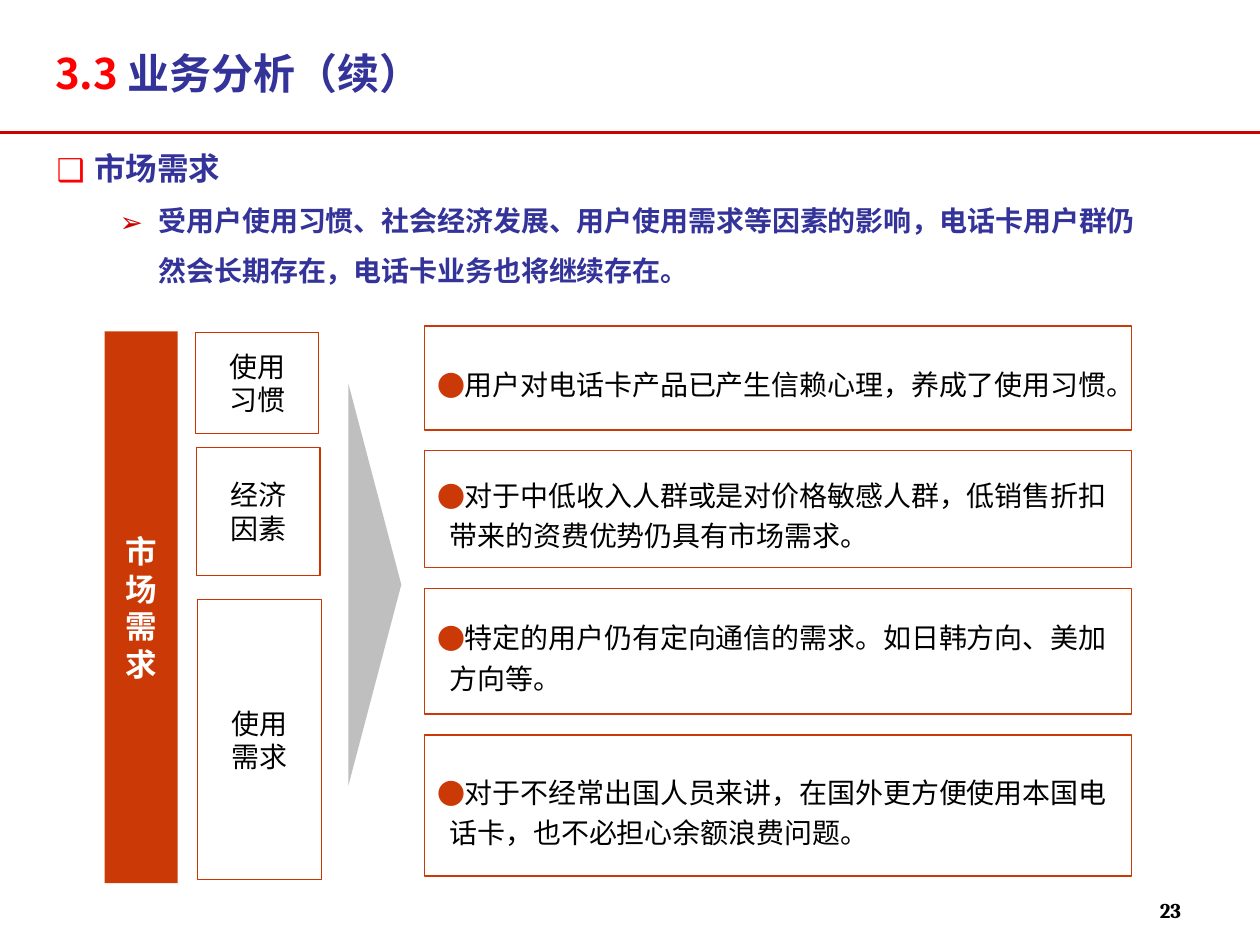
from itertools import accumulate

from lxml import etree
from pptx import Presentation, util as u
from pptx.dml.color import RGBColor
from pptx.enum import shapes, text
from pptx.oxml.ns import qn

CELL = u.Inches(0.1)
COLUMNS, ROWS = 100, 75
SANS, SERIF = "Noto Sans CJK SC", "Cambria"
RED, DARK_RED, ORANGE, BORDER = "FF0000", "CC0000", "CB3A06", "CC3300"
NAVY, BLACK, WHITE, GREY = "333399", "000000", "FFFFFF", "BFBFBF"


def cells(*counts):
    return [u.Emu(round(count * CELL)) for count in counts]


def color(code):
    return RGBColor.from_string(code)


def add_box(page, place, kind=shapes.MSO_SHAPE.RECTANGLE, fill=None, line=None, weight=1):
    box = page.shapes.add_shape(kind, *cells(*place))
    box.shadow.inherit = False
    if fill:
        box.fill.solid()
        box.fill.fore_color.rgb = color(fill)
    else:
        box.fill.background()
    if line:
        box.line.color.rgb = color(line)
        box.line.width = u.Pt(weight)
    else:
        box.line.fill.background()
    return box


def set_frame(box, anchor=text.MSO_ANCHOR.MIDDLE, side=1, top=0.5):
    frame = box.text_frame
    frame.word_wrap = True
    frame.vertical_anchor = anchor
    frame.margin_left, frame.margin_right, frame.margin_top, frame.margin_bottom = cells(
        side, side, top, 0.5)
    return frame


def add_text_box(page, place, **layout):
    return set_frame(page.shapes.add_textbox(*cells(*place)), **layout)


def set_bullet(para, symbol, tint, indent, hang):
    properties = para._p.get_or_add_pPr()
    properties.set("marL", str(cells(indent)[0]))
    properties.set("indent", str(-cells(hang)[0]))
    holder = etree.SubElement(properties, qn("a:buClr"))
    etree.SubElement(holder, qn("a:srgbClr"), val=tint)
    etree.SubElement(properties, qn("a:buFont"), typeface=SANS)
    etree.SubElement(properties, qn("a:buChar"), char=symbol)


def write(frame, words, size=16, tint=BLACK, bold=False, font=SANS, center=False,
          spacing=None, before=0, bullet=None, join=False):
    para = frame.paragraphs[-1]
    if para.runs and not join:
        para = frame.add_paragraph()
    if not join:
        para.alignment = text.PP_ALIGN.CENTER if center else text.PP_ALIGN.LEFT
        para.space_before = u.Pt(before)
        if spacing:
            para.line_spacing = spacing
        if bullet:
            set_bullet(para, *bullet)
    span = para.add_run()
    span.text = words
    span.font.size = u.Pt(size)
    span.font.bold = bold
    span.font.name = font
    span.font.color.rgb = color(tint)
    etree.SubElement(span._r.get_or_add_rPr(), qn("a:ea"), typeface=font)


def add_rule(page, row):
    rule = page.shapes.add_connector(
        shapes.MSO_CONNECTOR.STRAIGHT, *cells(0, row, COLUMNS, row))
    rule.line.color.rgb = color(DARK_RED)
    rule.line.width = u.Pt(1.5)
    etree.SubElement(rule._element.spPr, qn("a:effectLst"))


def add_heading(page):
    title = add_text_box(page, (3.4, 2.1, 76.4, 7.3))
    write(title, "3.3 ", size=24, tint=RED, bold=True)
    write(title, "业务分析（续）", size=24, tint=NAVY, bold=True, join=True)
    add_rule(page, 10.5)
    body = add_text_box(page, (3.5, 9.8, 89.1, 14.1), anchor=text.MSO_ANCHOR.TOP)
    write(body, "市场需求", size=18, tint=NAVY, bold=True, spacing=1.5, before=4.5,
          bullet=("❑", RED, 3, 3))
    write(body, "受用户使用习惯、社会经济发展、用户使用需求等因素的影响，电话卡用户群"
          "仍然会长期存在，电话卡业务也将继续存在。", tint=NAVY, bold=True, spacing=1.5,
          bullet=("➢", DARK_RED, 8.1, 3.1))


def add_factors(page):
    banner = add_box(page, (8.3, 26.3, 5.8, 43.8), fill=ORANGE)
    write(set_frame(banner), "市场需求", size=18, tint=WHITE, bold=True, center=True)
    factors = [
        (15.5, 26.4, 8, ("使用", "习惯")),
        (15.6, 35.5, 10.2, ("经济", "因素")),
        (15.7, 47.6, 22.2, ("使用", "需求")),
    ]
    for left, top, height, lines in factors:
        box = add_box(page, (left, top, 9.8, height), fill=WHITE, line=BORDER, weight=0.75)
        frame = set_frame(box)
        for words in lines:
            write(frame, words, center=True)
    arrow = add_box(page, (13.8, 44.3, 31.9, 4.2),
                    kind=shapes.MSO_SHAPE.ISOSCELES_TRIANGLE, fill=GREY)
    arrow.rotation = 90


def add_details(page):
    details = [
        (8.2, "用户对电话卡产品已产生信赖心理，养成了使用习惯。"),
        (9.3, "对于中低收入人群或是对价格敏感人群，低销售折扣带来的资费优势仍具有市场需求。"),
        (10, "特定的用户仍有定向通信的需求。如日韩方向、美加方向等。"),
        (11.2, "对于不经常出国人员来讲，在国外更方便使用本国电话卡，也不必担心余额浪费问题。"),
    ]
    gap = 1.65
    tops = accumulate((height + gap for height, _ in details), initial=25.9)
    for top, (height, words) in zip(tops, details):
        box = add_box(page, (33.7, top, 56.1, height), line=ORANGE)
        write(set_frame(box, top=1), words, spacing=1.2, before=5,
              bullet=("●", ORANGE, 1, 1))


def main():
    deck = Presentation()
    deck.slide_width, deck.slide_height = cells(COLUMNS, ROWS)
    page = deck.slides.add_slide(deck.slide_layouts[6])
    add_heading(page)
    add_factors(page)
    add_details(page)
    number = add_text_box(page, (90.4, 70.2, 5, 4), side=0.6)
    write(number, "23", size=12, bold=True, font=SERIF, center=True)
    deck.save("out.pptx")


if __name__ == "__main__":
    main()
